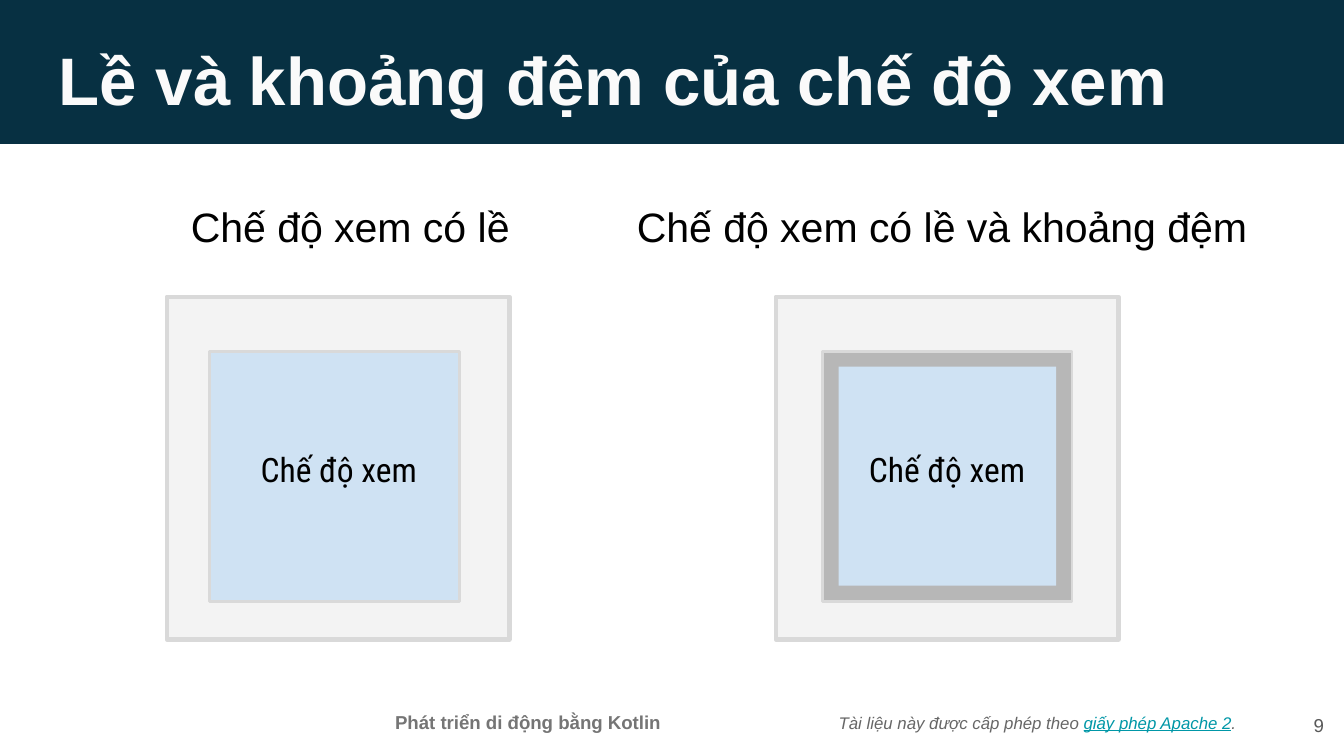
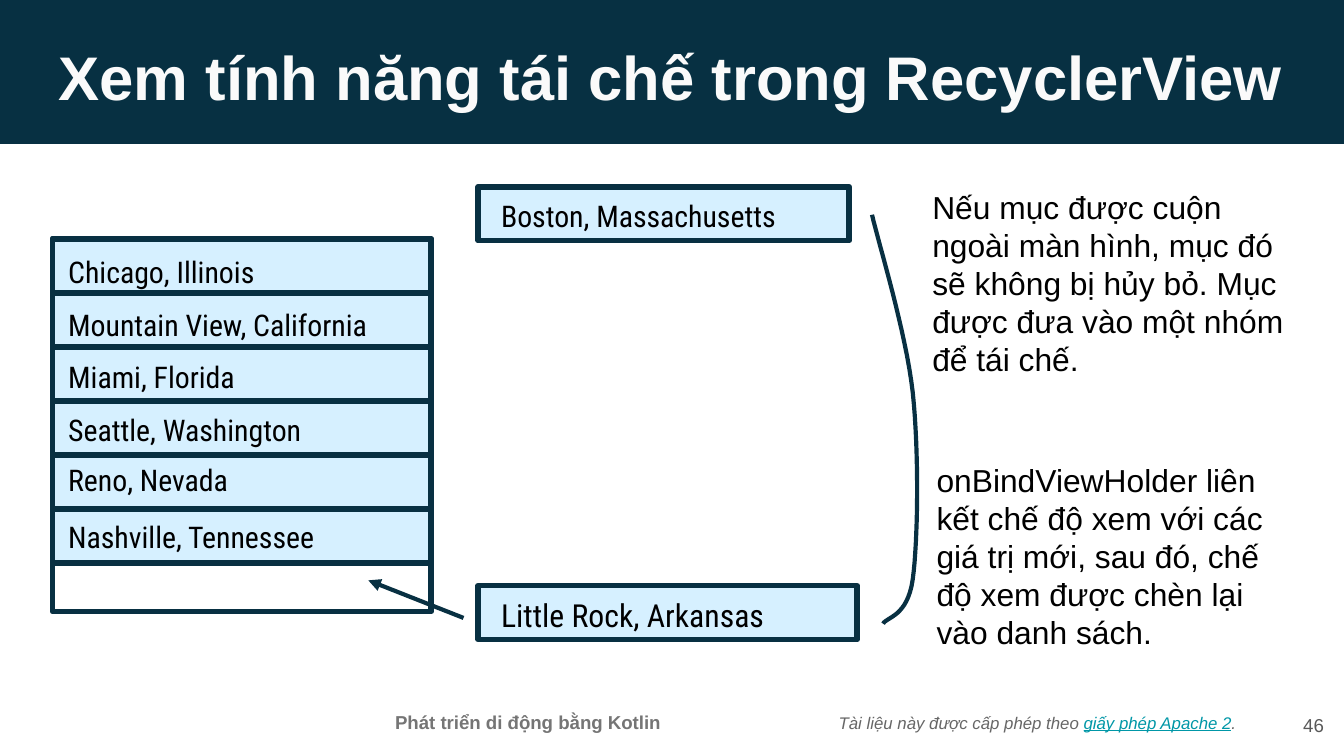
from dataclasses import dataclass

from lxml import etree
from pptx import Presentation
from pptx import util as u
from pptx.dml.color import RGBColor
from pptx.enum import shapes, text
from pptx.oxml import ns


@dataclass(frozen=True)
class Theme:
    """Colours, fonts and type sizes shared by the slides."""
    band: str = "073042"
    title: str = "FAFAFA"
    ink: str = "000000"
    course: str = "757575"
    licence: str = "666666"
    link: str = "0097A7"
    number: str = "595959"
    border: str = "D9D9D9"
    margin: str = "F3F3F3"
    padding: str = "B7B7B7"
    view: str = "CFE2F3"
    row: str = "D6F0FF"
    stroke: str = "083042"
    sans: str = "Arial"
    condensed: str = "Roboto Condensed"
    title_size: int = 36
    long_title_size: int = 33
    caption_size: int = 22
    view_size: int = 18
    note_size: int = 17
    row_size: int = 16
    footer_size: int = 10
    licence_size: int = 9


THEME = Theme()
INSET = u.Cm(0.25)
ROW_LEFT, ROW_TOP, ROW_WIDTH, ROW_HEIGHT = 0.99, 4.52, 7.16, 1.02
CITIES = [
    ("Chicago, Illinois", 4.55),
    ("Mountain View, California", 5.54),
    ("Miami, Florida", 6.53),
    ("Seattle, Washington", 7.54),
    ("Reno, Nevada", 8.48),
    ("Nashville, Tennessee", 9.55),
]
RECYCLE_START = (16.48, 4.06)
RECYCLE_CURVES = [
    ((16.61, 4.62), (17.12, 6.27), (17.25, 7.42)),
    ((17.37, 8.56), (17.35, 10.21), (17.25, 10.95)),
    ((17.15, 11.66), (16.76, 11.66), (16.69, 11.79)),
]


def rgb(code):
    """Turn a hex code into a colour."""
    return RGBColor.from_string(code)


def apply(target, values):
    """Set every attribute named in a dict of format values."""
    for name, value in values.items():
        setattr(target, name, value)


def add_text(slide, box, runs, size, font=THEME.sans, align=text.PP_ALIGN.LEFT,
             anchor=text.MSO_ANCHOR.TOP, **style):
    """Write one paragraph made of (wording, colour, underline) runs."""
    frame = slide.shapes.add_textbox(*map(u.Cm, box)).text_frame
    apply(frame, {"word_wrap": True, "vertical_anchor": anchor,
                  "margin_left": INSET, "margin_right": INSET,
                  "margin_top": INSET, "margin_bottom": INSET})
    paragraph = frame.paragraphs[0]
    paragraph.alignment = align
    for wording, colour, underline in runs:
        run = paragraph.add_run()
        run.text = wording
        apply(run.font, {"name": font, "size": u.Pt(size),
                         "underline": underline, **style})
        run.font.color.rgb = rgb(colour)


def add_label(slide, box, wording, size, colour=THEME.ink, **style):
    """Write a text of a single colour."""
    add_text(slide, box, [(wording, colour, None)], size, **style)


def set_stroke(line, colour, width):
    """Colour a line and set its width in points."""
    line.color.rgb = rgb(colour)
    line.width = u.Pt(width)


def add_rect(slide, box, fill=None, border=None, width=0):
    """Draw a rectangle with an optional fill and border."""
    rect = slide.shapes.add_shape(shapes.MSO_SHAPE.RECTANGLE, *map(u.Cm, box))
    rect.shadow.inherit = False
    if fill:
        rect.fill.solid()
        rect.fill.fore_color.rgb = rgb(fill)
    else:
        rect.fill.background()
    if border:
        set_stroke(rect.line, border, width)
    else:
        rect.line.fill.background()


def add_arrow(slide, start, end):
    """Draw a straight arrow."""
    arrow = slide.shapes.add_connector(
        shapes.MSO_CONNECTOR.STRAIGHT, *map(u.Cm, start + end))
    set_stroke(arrow.line, THEME.stroke, 2.25)
    head = etree.SubElement(arrow.line._get_or_add_ln(), ns.qn("a:tailEnd"))
    head.set("type", "triangle")
    etree.SubElement(arrow._element.spPr, ns.qn("a:effectLst"))


def bezier(start, first, second, end, steps=16):
    """List the points of a cubic curve after its start."""
    points = []
    for step in range(1, steps + 1):
        t = step / steps
        weights = ((1 - t) ** 3, 3 * t * (1 - t) ** 2, 3 * t * t * (1 - t), t ** 3)
        points.append(tuple(
            u.Cm(sum(w * c for w, c in zip(weights, axis)))
            for axis in zip(start, first, second, end)))
    return points


def add_curve(slide, start, curves):
    """Draw an open line through joined cubic curves."""
    builder = slide.shapes.build_freeform(*map(u.Cm, start))
    for curve in curves:
        builder.add_line_segments(bezier(start, *curve), close=False)
        start = curve[-1]
    outline = builder.convert_to_shape()
    outline.shadow.inherit = False
    outline.fill.background()
    set_stroke(outline.line, THEME.stroke, 2.25)


def add_base(deck, title, number, size=THEME.title_size):
    """Add a slide with its title band and footers."""
    slide = deck.slides.add_slide(deck.slide_layouts[6])
    add_text(slide, (15.6, 13.06, 8.15, 1.19),
             [("Tài liệu này được cấp phép theo ", THEME.licence, None),
              ("giấy phép Apache 2", THEME.link, True),
              (".", THEME.licence, None)],
             THEME.licence_size, anchor=text.MSO_ANCHOR.MIDDLE, italic=True)
    add_rect(slide, (-0.03, -0.1, 25.43, 2.82), THEME.band)
    add_label(slide, (6.38, 13.23, 7.19, 0.81), "Phát triển di động bằng Kotlin",
              THEME.footer_size, THEME.course, align=text.PP_ALIGN.CENTER, bold=True)
    add_label(slide, (0.86, 0.48, 23.67, 1.6), title, size, THEME.title, bold=True)
    add_label(slide, (23.75, 13.16, 1.52, 1.09), number, THEME.footer_size,
              THEME.number, align=text.PP_ALIGN.RIGHT, anchor=text.MSO_ANCHOR.MIDDLE)
    return slide


def add_view(slide, caption, caption_box, margin_left, view_left, label_box, padded=False):
    """Draw a view inside its margin, with padding if asked."""
    add_label(slide, caption_box, caption, THEME.caption_size,
              align=text.PP_ALIGN.CENTER)
    add_rect(slide, (margin_left, 5.61, 6.48, 6.48), THEME.margin, THEME.border, 2.25)
    add_rect(slide, (view_left, 6.65, 4.72, 4.72),
             THEME.padding if padded else THEME.view, THEME.border, 1.5)
    if padded:
        add_rect(slide, (view_left + 0.31, 6.93, 4.11, 4.14), THEME.view)
    add_label(slide, label_box, "Chế độ xem", THEME.view_size,
              font=THEME.condensed, align=text.PP_ALIGN.CENTER)


def add_row(slide, city, left, top, width, label_left, label_top, size=THEME.row_size):
    """Draw one list row with its city."""
    add_rect(slide, (left, top, width, ROW_HEIGHT), THEME.row, THEME.stroke, 3)
    add_label(slide, (label_left, label_top, 6.53, 0.74), city, size,
              font=THEME.condensed)


def build_margins(deck):
    """Build the slide on margin and padding."""
    slide = add_base(deck, "Lề và khoảng đệm của chế độ xem", "9")
    add_view(slide, "Chế độ xem có lề", (2.67, 3.56, 7.9, 1.75),
             3.15, 3.96, (3.94, 8.23, 4.93, 1.09))
    add_view(slide, "Chế độ xem có lề và khoảng đệm", (11.76, 3.56, 12.09, 1.75),
             14.66, 15.54, (15.65, 8.23, 4.5, 1.09), padded=True)


def build_recycling(deck):
    """Build the slide on view recycling."""
    slide = add_base(deck, "Xem tính năng tái chế trong RecyclerView", "46",
                     THEME.long_title_size)
    add_label(slide, (17.37, 3.3, 7.52, 3.96),
              "Nếu mục được cuộn ngoài màn hình, mục đó sẽ không bị hủy bỏ. "
              "Mục được đưa vào một nhóm để tái chế.", THEME.note_size)
    add_label(slide, (17.45, 8.46, 7.29, 2.31),
              "onBindViewHolder liên kết chế độ xem với các giá trị mới, sau đó, "
              "chế độ xem được chèn lại vào danh sách.", THEME.note_size)
    add_rect(slide, (ROW_LEFT, ROW_TOP, ROW_WIDTH, 7.04), None, THEME.stroke, 3)
    for index, (city, label_top) in enumerate(CITIES):
        add_row(slide, city, ROW_LEFT, ROW_TOP + index * ROW_HEIGHT, ROW_WIDTH,
                1.04, label_top)
    add_row(slide, "Boston, Massachusetts", 9.04, 3.53, 7.01, 9.22, 3.48)
    add_row(slide, "Little Rock, Arkansas", 9.04, 11.07, ROW_WIDTH, 9.22, 11.02,
            THEME.note_size)
    add_arrow(slide, (8.76, 11.68), (6.96, 10.97))
    add_curve(slide, RECYCLE_START, RECYCLE_CURVES)


def main():
    """Build and save the deck."""
    deck = Presentation()
    apply(deck, {"slide_width": u.Cm(25.4), "slide_height": u.Cm(14.29)})
    build_margins(deck)
    build_recycling(deck)
    deck.save("out.pptx")


if __name__ == "__main__":
    main()
